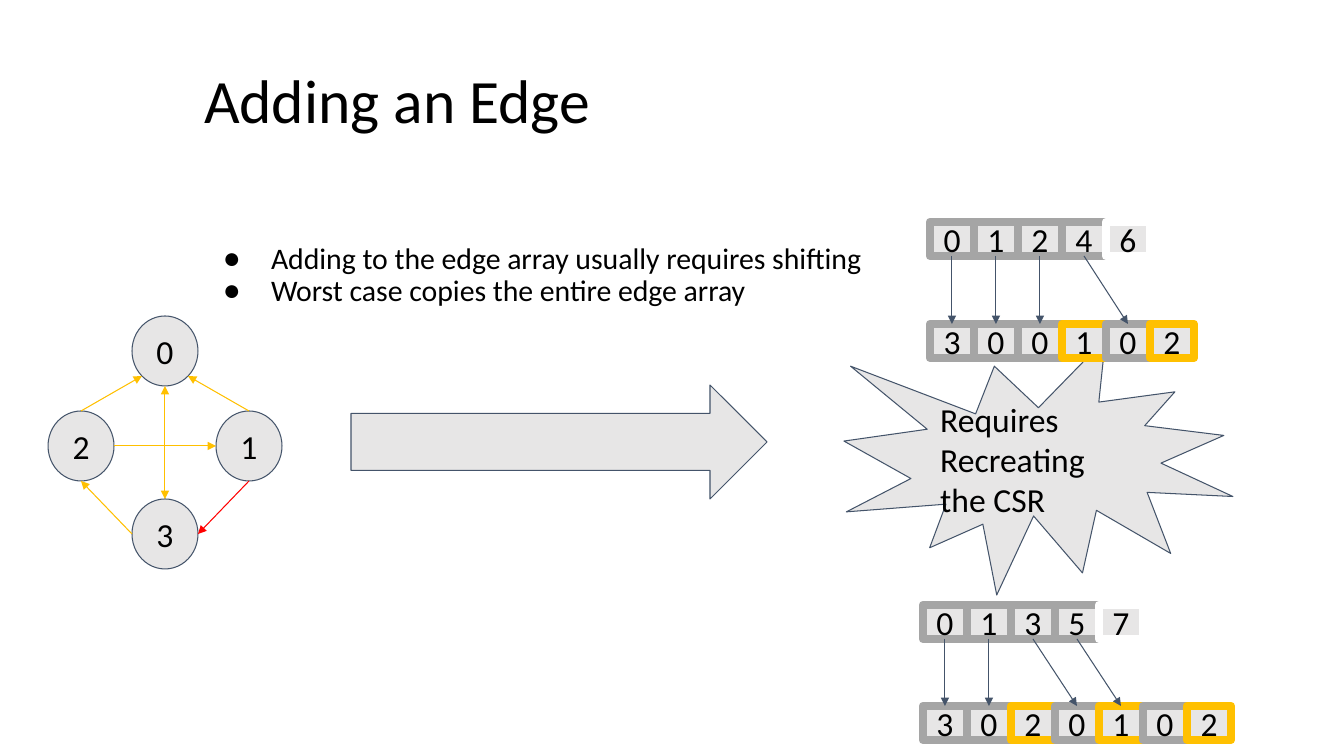
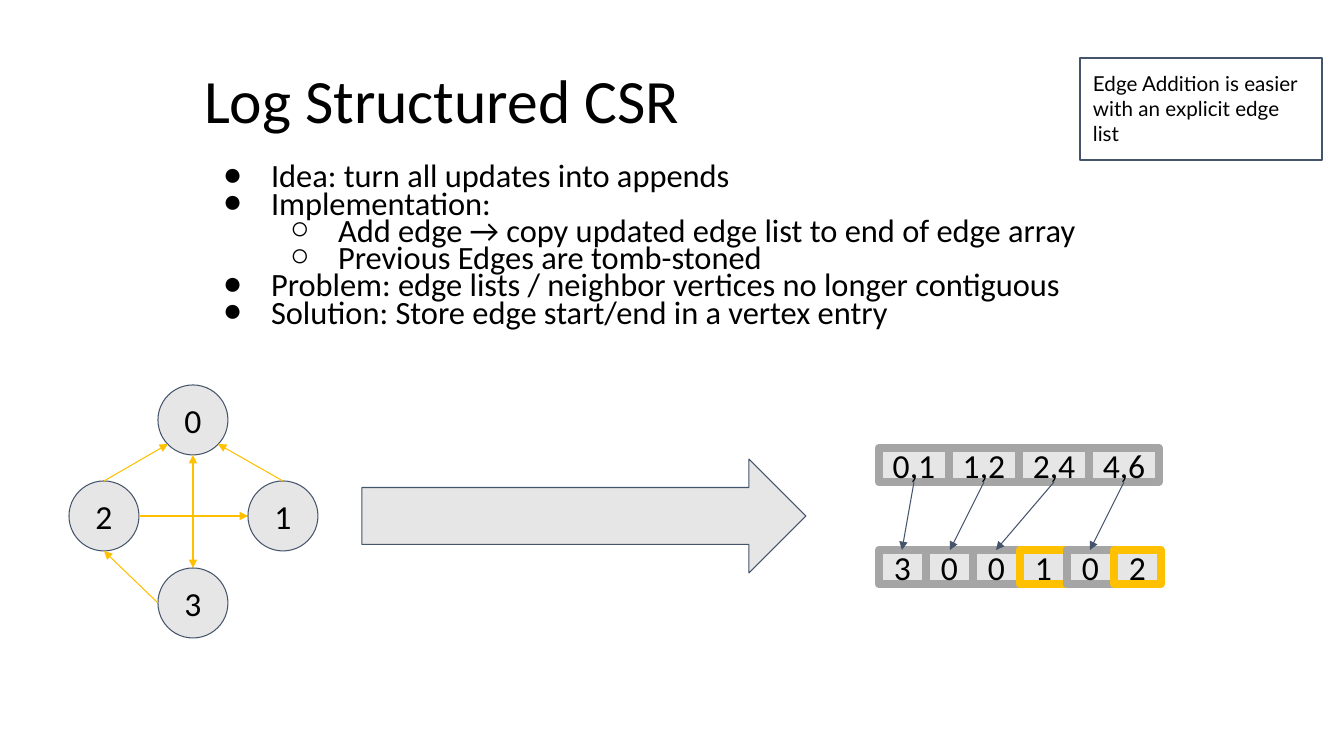
from dataclasses import dataclass

from lxml.etree import SubElement
from pptx import Presentation
from pptx.dml.color import RGBColor
from pptx.enum.shapes import MSO_CONNECTOR, MSO_SHAPE
from pptx.enum.text import MSO_ANCHOR, MSO_AUTO_SIZE, PP_ALIGN
from pptx.oxml.ns import qn
from pptx.util import Pt

PX = 914400 / 100.8


@dataclass(frozen=True)
class Theme:
    """Colours, fonts and type sizes of both slides."""
    ink: str = "000000"
    pale: str = "E7E6E6"
    slate: str = "44546A"
    grey: str = "A5A5A5"
    gold: str = "FFC000"
    red: str = "FF0000"
    white: str = "FFFFFF"
    font: str = "Calibri"
    note_font: str = "Lato"
    title: float = 44
    label: float = 24
    note: float = 14.7
    thin: float = 0.75
    note_line: float = 1.5
    cell_line: float = 6


theme = Theme()


def write(shape, box, *lines, size=theme.label, font=theme.font, align=PP_ALIGN.LEFT,
          anchor=MSO_ANCHOR.TOP, spacing=1.0, wrap=True, bullets="",
          fill=None, line=None, weight=theme.thin):
    """Place a shape, paint it and set its (level, text) lines."""
    shape.left, shape.top, shape.width, shape.height = (round(v * PX) for v in box)
    if fill:
        shape.fill.solid()
        shape.fill.fore_color.rgb = RGBColor.from_string(fill)
    else:
        shape.fill.background()
    if line:
        shape.shadow.inherit = False
        shape.line.color.rgb = RGBColor.from_string(line)
        shape.line.width = Pt(weight)
        SubElement(shape.line._get_or_add_ln(), qn("a:round"))
    frame = shape.text_frame
    frame.auto_size = MSO_AUTO_SIZE.NONE
    frame.word_wrap = wrap
    frame.vertical_anchor = anchor
    frame.margin_left = frame.margin_right = round(13 * PX)
    frame.margin_top = frame.margin_bottom = round(13 * PX)
    for number, (level, text) in enumerate(lines):
        paragraph = frame.add_paragraph() if number else frame.paragraphs[0]
        paragraph.alignment = align
        paragraph.line_spacing = spacing
        paragraph.space_before = Pt(0)
        paragraph.level = level
        run = paragraph.add_run()
        run.text = text
        run.font.size = Pt(size)
        run.font.name = font
        run.font.color.rgb = RGBColor.from_string(theme.ink)
        if bullets:
            properties = paragraph._p.get_or_add_pPr()
            properties.set("marL", str(round(67 * (level + 1) * PX)))
            properties.set("indent", str(round(-48 * PX)))
            SubElement(properties, qn("a:buChar"), char=bullets[level])


def connect(shapes, start, end, color, both=False):
    """Draw a thin arrow between two points, with one head or two."""
    points = [round(round(v) * PX) for v in (*start, *end)]
    arrow = shapes.add_connector(MSO_CONNECTOR.STRAIGHT, *points)
    arrow.line.color.rgb = RGBColor.from_string(color)
    arrow.line.width = Pt(theme.thin)
    ln = arrow.line._get_or_add_ln()
    for tag in ("a:headEnd", "a:tailEnd") if both else ("a:tailEnd",):
        SubElement(ln, qn(tag), type="triangle")
    SubElement(arrow._element.spPr, qn("a:effectLst"))


SITES = {"top": (0.5, 0), "bottom": (0.5, 1), "left": (0, 0.5), "right": (1, 0.5),
         "lower left": (0.15, 0.85), "lower right": (0.85, 0.85)}
EDGES = [("2", "top", "0", "lower left"), ("2", "right", "1", "left"),
         ("0", "bottom", "3", "top"), ("3", "left", "2", "bottom"),
         ("1", "top", "0", "lower right")]
NEW_EDGE = ("1", "bottom", "3", "right")
CELL_HEIGHT = 34

pages = [
    dict(
        title="Adding an Edge",
        body=[(0, "Adding to the edge array usually requires shifting"),
              (0, "Worst case copies the entire edge array")],
        body_box=(191, 231, 1034, 427), body_size=21.3, body_spacing=0.9,
        nodes={"0": (132, 316), "2": (48, 411), "1": (216, 411), "3": (132, 499)},
        node_size=(66, 70), edges=EDGES + [NEW_EDGE],
        arrow=(351, 385, 416, 114),
        burst=(844, 339, 389, 256), note=None,
        arrays=[
            dict(left=930, tops=(222, 324), widths=(44, 44), vertices="0 1 2 4 6",
                 entries="3 0 0 1 0 2", gold=(3, 5), targets=(0, 1, 2, 4)),
            dict(left=923, tops=(605, 706), widths=(44, 44), vertices="0 1 3 5 7",
                 entries="3 0 2 0 1 0 2", gold=(2, 4, 6), targets=(0, 1, 3, 4)),
        ]),
    dict(
        title="Log Structured CSR",
        body=[(0, "Idea: turn all updates into appends"),
              (0, "Implementation:"),
              (1, "Add edge → copy updated edge list to end of edge array"),
              (1, "Previous Edges are tomb-stoned"),
              (0, "Problem: edge lists / neighbor vertices no longer contiguous"),
              (0, "Solution: Store edge start/end in a vertex entry")],
        body_box=(191, 153, 1034, 210), body_size=23.2, body_spacing=0.7,
        nodes={"0": (158, 385), "2": (69, 481), "1": (248, 481), "3": (158, 568)},
        node_size=(70, 70), edges=EDGES,
        arrow=(362, 459, 444, 114),
        burst=None, note=(1080, 58, 242, 102),
        arrays=[
            dict(left=879, tops=(448, 550), widths=(70, 47), vertices="0,1 1,2 2,4 4,6",
                 entries="3 0 0 1 0 2", gold=(3, 5), targets=(0, 1, 2, 4)),
        ]),
]

deck = Presentation()
deck.slide_width, deck.slide_height = round(1344 * PX), round(756 * PX)
centred = dict(align=PP_ALIGN.CENTER, anchor=MSO_ANCHOR.MIDDLE)
outlined = dict(fill=theme.pale, line=theme.slate)

for page in pages:
    slide = deck.slides.add_slide(deck.slide_layouts[1])
    shapes = slide.shapes
    write(shapes.title, (191, 57, 1034, 134), (0, page["title"]),
          size=theme.title, spacing=0.9)
    write(slide.placeholders[1], page["body_box"], *page["body"],
          size=page["body_size"], spacing=page["body_spacing"], bullets="●○")

    # Graph
    width, height = page["node_size"]
    for label, corner in page["nodes"].items():
        write(shapes.add_shape(MSO_SHAPE.OVAL, 0, 0, 1, 1), (*corner, width, height),
              (0, label), wrap=False, **centred, **outlined)
    for edge in page["edges"]:
        ends = []
        for node, site in (edge[:2], edge[2:]):
            (left, top), (across, down) = page["nodes"][node], SITES[site]
            ends.append((left + across * width, top + down * height))
        connect(shapes, *ends, theme.red if edge == NEW_EDGE else theme.gold,
                both=edge[0] == "0")

    write(shapes.add_shape(MSO_SHAPE.RIGHT_ARROW, 0, 0, 1, 1), page["arrow"], **outlined)
    if page["burst"]:
        write(shapes.add_shape(MSO_SHAPE.EXPLOSION1, 0, 0, 1, 1), page["burst"],
              (0, "Requires Recreating the CSR"), anchor=MSO_ANCHOR.MIDDLE, **outlined)

    # CSR arrays: vertices above, the edges they point to below
    for array in page["arrays"]:
        left, tops, widths = array["left"], array["tops"], array["widths"]
        rows = (array["vertices"].split(), array["entries"].split())
        for row, values in enumerate(rows):
            for index, value in enumerate(values):
                border = theme.grey
                if row == 1 and index in array["gold"]:
                    border = theme.gold
                elif row == 0 and index == len(array["targets"]):
                    border = theme.white
                write(shapes.add_shape(MSO_SHAPE.RECTANGLE, 0, 0, 1, 1),
                      (left + index * widths[row], tops[row], widths[row], CELL_HEIGHT),
                      (0, value), wrap=False, fill=theme.pale, line=border,
                      weight=theme.cell_line, **centred)
        for index, target in enumerate(array["targets"]):
            connect(shapes, (left + (index + 0.5) * widths[0], tops[0] + CELL_HEIGHT),
                    (left + (target + 0.5) * widths[1], tops[1]), theme.slate)

    if page["note"]:
        write(shapes.add_shape(MSO_SHAPE.RECTANGLE, 0, 0, 1, 1), page["note"],
              (0, "Edge Addition is easier with an explicit edge list"),
              size=theme.note, font=theme.note_font, line=theme.slate,
              weight=theme.note_line)

deck.save("out.pptx")
